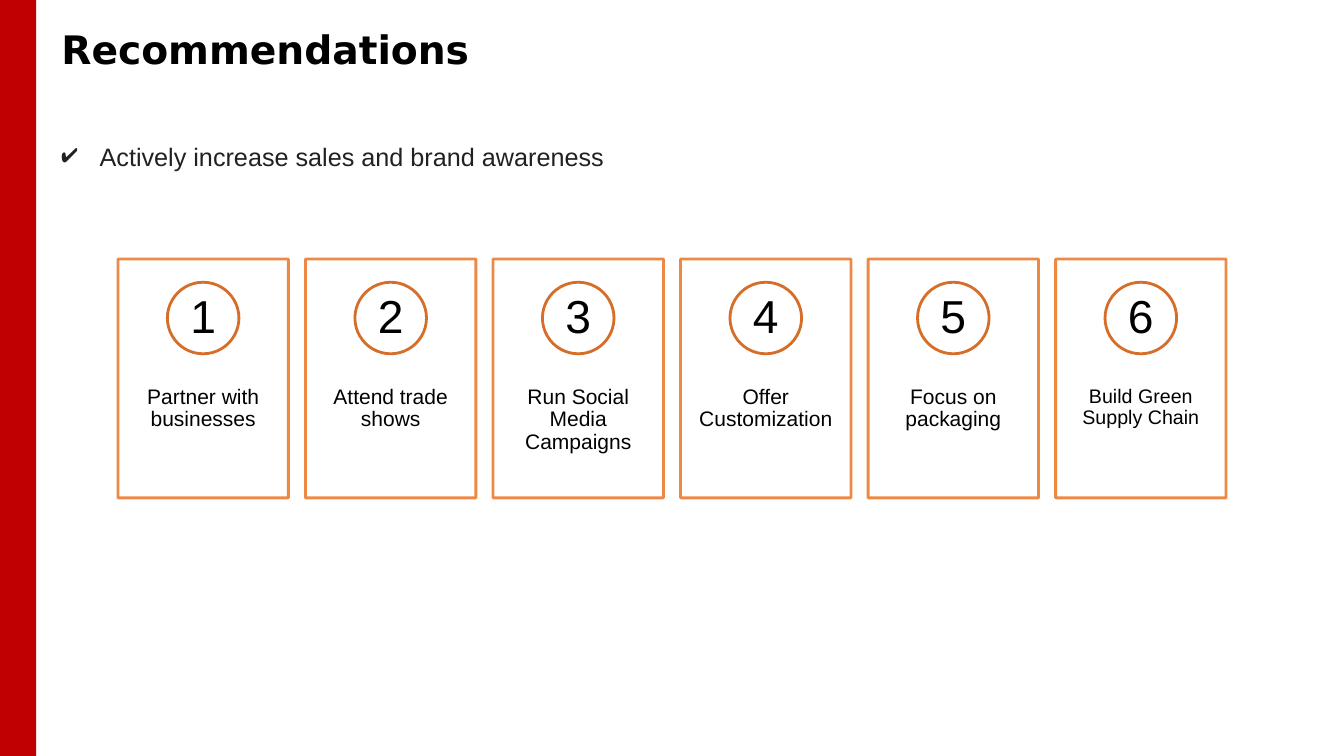
import pptx
import pptx.util
import pptx.dml.color
import pptx.enum.shapes
import pptx.enum.text
import pptx.oxml
import pptx.oxml.ns
from lxml import etree

Inches = pptx.util.Inches
Pt = pptx.util.Pt
MSO_SHAPE = pptx.enum.shapes.MSO_SHAPE
ALIGN = pptx.enum.text.PP_ALIGN
ANCHOR = pptx.enum.text.MSO_ANCHOR
qn = pptx.oxml.ns.qn

COLORS = {"black": "000000", "white": "FFFFFF", "red": "C00000",
          "card": "ED7D31", "ring": "D66E29", "bullet": "202124"}


def rgb(name):
    return pptx.dml.color.RGBColor.from_string(COLORS[name])


def write(sp, text, size, font="Arial", color="black", bold=False, align=ALIGN.LEFT,
          anchor=ANCHOR.TOP, spacing=1.0, margins=(0, 0, 0, 0)):
    tf = sp.text_frame
    tf.word_wrap = True
    tf.auto_size = pptx.enum.text.MSO_AUTO_SIZE.NONE
    tf.vertical_anchor = anchor
    tf.margin_left, tf.margin_top, tf.margin_right, tf.margin_bottom = map(Inches, margins)
    p = tf.paragraphs[0]
    p.alignment = align
    p.line_spacing = spacing
    r = p.add_run()
    r.text = text
    r.font.name = font
    r.font.size = Pt(size)
    r.font.bold = bold
    r.font.color.rgb = rgb(color)
    return p


def add_shape(kind, left, top, width, height, fill, line=None, alpha=None):
    sp = slide.shapes.add_shape(kind, Inches(left), Inches(top), Inches(width), Inches(height))
    sp.shadow.inherit = False
    sp.fill.solid()
    sp.fill.fore_color.rgb = rgb(fill)
    if line:
        sp.line.color.rgb = rgb(line)
        sp.line.width = Pt(2)
    else:
        sp.line.fill.background()
    if alpha:
        for clr in sp.fill._xPr.iter(qn("a:srgbClr")):
            etree.SubElement(clr, qn("a:alpha"), val=str(alpha * 1000))
    return sp


prs = pptx.Presentation()
prs.slide_width = Inches(13.33)
prs.slide_height = Inches(7.5)
slide = prs.slides.add_slide(prs.slide_layouts[5])

# Title
title = slide.shapes.title
title.left, title.top, title.width, title.height = map(Inches, (0.6, 0.24, 8.95, 0.48))
p = write(title, "Recommendations", 28, font="DejaVu Sans", bold=True,
          anchor=ANCHOR.MIDDLE, margins=(0.01, 0.01, 0, 0))

# Red side bar
add_shape(MSO_SHAPE.RECTANGLE, 0, 0, 0.36, 7.5, "red")

# Numbered cards
CARD_LEFT, CARD_TOP, CARD_W, CARD_H, PITCH = 1.17, 2.57, 1.69, 2.37, 1.86
RING, NUMBER = 0.71, 0.5
cards = [("Partner with businesses", 15), ("Attend trade shows", 15),
         ("Run Social Media Campaigns", 15), ("Offer Customization", 15),
         ("Focus on packaging", 15), ("Build Green Supply Chain", 14)]
for i, (label, size) in enumerate(cards):
    left = CARD_LEFT + i * PITCH
    middle = left + CARD_W / 2
    add_shape(MSO_SHAPE.RECTANGLE, left, CARD_TOP, CARD_W, CARD_H, "white", "card", alpha=89)
    sp = slide.shapes.add_textbox(Inches(left), Inches(3.47), Inches(CARD_W), Inches(1.42))
    write(sp, label, size, align=ALIGN.CENTER, spacing=0.9, margins=(0.13, 0.36, 0.13, 0.36))
    add_shape(MSO_SHAPE.OVAL, middle - RING / 2, 2.8, RING, RING, "white", "ring")
    sp = slide.shapes.add_textbox(Inches(middle - NUMBER / 2), Inches(2.91),
                                  Inches(NUMBER), Inches(NUMBER))
    write(sp, str(i + 1), 33, align=ALIGN.CENTER, anchor=ANCHOR.MIDDLE, spacing=0.9,
          margins=(0.06, 0.01, 0.06, 0.01))

# Check-marked goal
sp = slide.shapes.add_textbox(Inches(0.51), Inches(1.05), Inches(8.31), Inches(0.71))
p = write(sp, "Actively increase sales and brand awareness", 18, color="bullet", spacing=2.0,
          margins=(0.1, 0.05, 0.1, 0.05))
pPr = p._p.get_or_add_pPr()
pPr.set("marL", str(Inches(0.38)))
pPr.set("indent", str(Inches(-0.38)))
bullet_color = etree.SubElement(pPr, qn("a:buClr"))
etree.SubElement(bullet_color, qn("a:srgbClr"), val=COLORS["bullet"])
etree.SubElement(pPr, qn("a:buChar"), char="✔")

prs.save("out.pptx")
